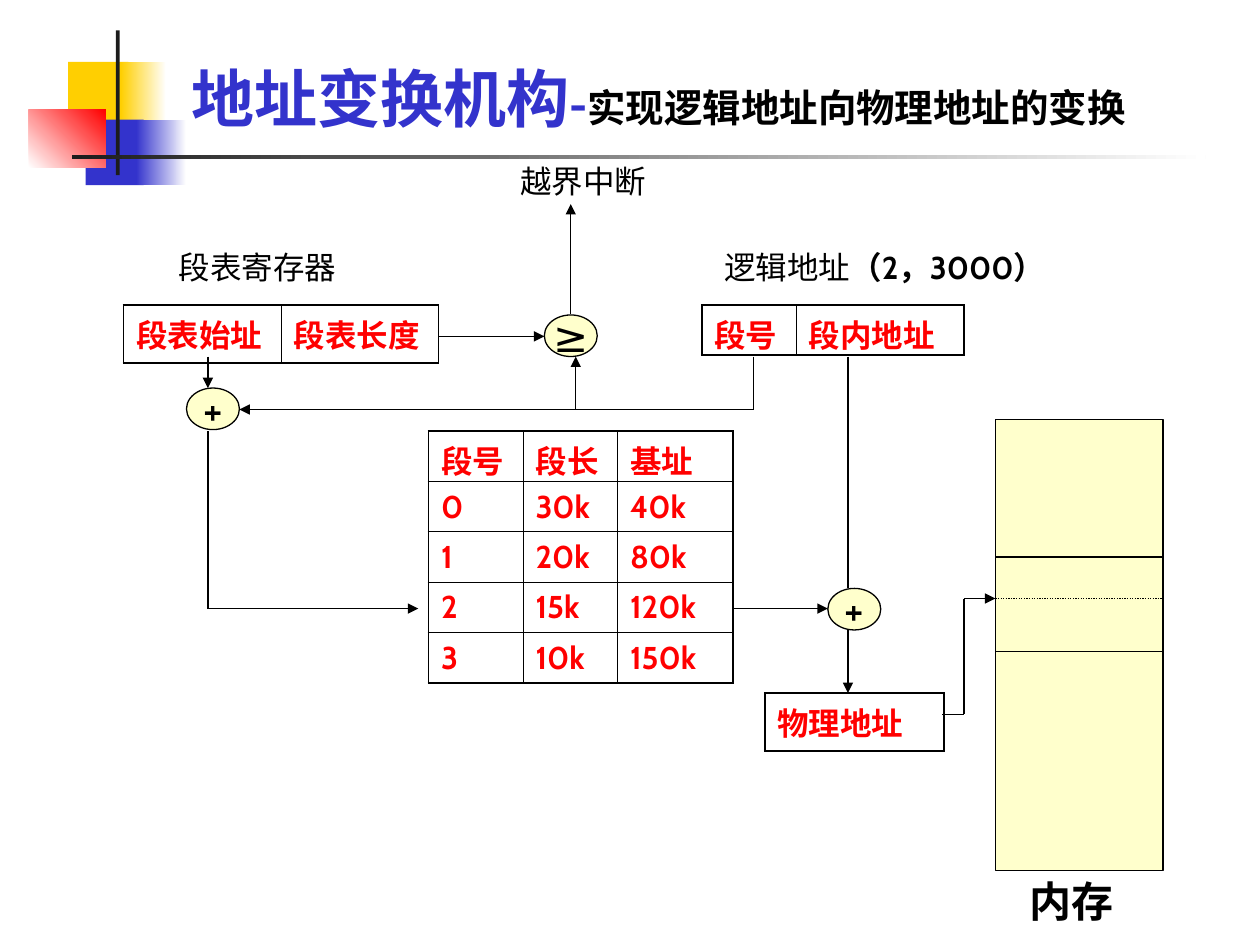
from pptx import Presentation
from pptx.dml.color import RGBColor
from pptx.enum.dml import MSO_LINE
from pptx.enum.shapes import MSO_CONNECTOR, MSO_SHAPE
from pptx.enum.text import MSO_ANCHOR, PP_ALIGN
from pptx.oxml.ns import qn
from pptx.util import Inches, Pt
from lxml.etree import SubElement

BLACK = RGBColor(0, 0, 0)
WHITE = RGBColor(0xFF, 0xFF, 0xFF)
DARK = RGBColor(0x1C, 0x1C, 0x1C)
RED = RGBColor(0xFF, 0, 0)
BLUE = RGBColor(0x33, 0x33, 0xCC)
GOLD = RGBColor(0xFF, 0xCF, 0x01)
CREAM = RGBColor(0xFF, 0xFF, 0xCC)
BODY, HEAD = "Cabin", "Noto Sans CJK SC"


def add_run(para, text, size=18, color=BLACK, bold=False, face=BODY):
    run = para.add_run()
    run.text = text
    font = run.font
    font.size, font.bold, font.name = Pt(size), bold, face
    font.color.rgb = color


def add_label(slide, x, y, w, h, *runs):
    """Place a text box; each run is a dict of add_run arguments."""
    frame = slide.shapes.add_textbox(*map(Inches, (x, y, w, h))).text_frame
    frame.word_wrap = True
    for run in runs:
        add_run(frame.paragraphs[0], **run)
    return frame


def add_box(slide, x, y, w, h, color, kind=MSO_SHAPE.RECTANGLE, line=None):
    shape = slide.shapes.add_shape(kind, *map(Inches, (x, y, w, h)))
    shape.shadow.inherit = False
    shape.fill.solid()
    shape.fill.fore_color.rgb = color
    if line is None:
        shape.line.fill.background()
    else:
        shape.line.color.rgb, shape.line.width = line, Pt(0.75)
    return shape


def fade(shape, start, end, angle=0):
    shape.fill.gradient()
    shape.fill.gradient_angle = angle
    for stop, color in zip(shape.fill.gradient_stops, (start, end)):
        stop.color.rgb = color


def add_path(slide, *points, arrow=True, dash=None):
    """Join the points by straight lines, with an arrowhead on the last."""
    for start, end in zip(points, points[1:]):
        line = slide.shapes.add_connector(
            MSO_CONNECTOR.STRAIGHT, *map(Inches, start + end))
        line.line.color.rgb, line.line.width = BLACK, Pt(0.75)
        if dash:
            line.line.dash_style = dash
        props = line._element.spPr
        if arrow and end == points[-1]:
            SubElement(props.find(qn("a:ln")), qn("a:tailEnd"), type="triangle")
        SubElement(props, qn("a:effectLst"))


def set_edge(cell, side, width):
    props = cell._tc.get_or_add_tcPr()
    edge = SubElement(props, qn("a:" + side), w=str(Pt(width)))
    fill = SubElement(edge, qn("a:solidFill"))
    SubElement(fill, qn("a:srgbClr"), val=str(BLACK))


def add_grid(slide, x, y, widths, rows, height=0.4):
    """Table with thick outer and thin inner rules."""
    last_row, last_col = len(rows) - 1, len(widths) - 1
    table = slide.shapes.add_table(
        len(rows), len(widths), Inches(x), Inches(y),
        Inches(sum(widths)), Inches(height * len(rows))).table
    table.first_row = table.horz_banding = False
    for col, width in zip(table.columns, widths):
        col.width = Inches(width)
    for r, row in enumerate(rows):
        for c, text in enumerate(row):
            cell = table.cell(r, c)
            cell.margin_bottom = 0
            add_run(cell.text_frame.paragraphs[0], text, 18, RED, True)
            outer = {"lnL": c == 0, "lnR": c == last_col,
                     "lnT": r == 0, "lnB": r == last_row}
            for side, thick in outer.items():
                set_edge(cell, side, 1.08 if thick else 0.45)
            cell.fill.background()


def add_node(slide, x, y, sign):
    node = add_box(slide, x, y, 0.42, 0.33, CREAM, MSO_SHAPE.OVAL, BLACK)
    frame = node.text_frame
    frame.word_wrap = False
    frame.vertical_anchor = MSO_ANCHOR.MIDDLE
    frame.paragraphs[0].alignment = PP_ALIGN.CENTER
    add_run(frame.paragraphs[0], sign, 24)


def add_decor(slide, x, y):
    add_box(slide, x + 0.31, y + 0.25, 0.48, 0.52, GOLD)
    fade(add_box(slide, x + 0.73, y + 0.25, 0.36, 0.52, GOLD), GOLD, WHITE)
    add_box(slide, x + 0.45, y + 0.71, 0.46, 0.52, BLUE)
    fade(add_box(slide, x + 0.85, y + 0.71, 0.4, 0.52, BLUE), BLUE, WHITE)
    fade(add_box(slide, x, y + 0.63, 0.61, 0.46, RED), WHITE, RED, 45)
    add_box(slide, x + 0.69, y, 0.03, 1.15, DARK)
    fade(add_box(slide, x + 0.34, y + 0.99, 9, 0.03, DARK), DARK, WHITE)


def add_title(slide, x, y, w, h):
    frame = add_label(
        slide, x, y, w, h,
        dict(text="地址变换机构", size=36, color=BLUE, bold=True, face=HEAD),
        dict(text="-", size=28, color=BLUE, bold=True, face=HEAD),
        dict(text="实现逻辑地址向物理地址的变换", size=22, bold=True, face=HEAD))
    frame.vertical_anchor = MSO_ANCHOR.BOTTOM


def add_memory(slide, x, y, w, h):
    add_box(slide, x, y, w, h, CREAM, line=BLACK)
    for drop, dash in ((1.09, None), (1.42, MSO_LINE.ROUND_DOT), (1.84, None)):
        add_path(slide, (x, y + drop), (x + w, y + drop), arrow=False, dash=dash)
    add_label(slide, x + 0.17, y + h - 0.01, 0.92, 0.5,
              dict(text="内存", size=24, bold=True))


def add_tables(slide):
    add_label(slide, 1.32, 1.92, 1.58, 0.4, dict(text="段表寄存器"))
    add_grid(slide, 0.98, 2.42, [1.25, 1.25], [["段表始址", "段表长度"]], 0.46)
    add_label(slide, 5.65, 1.92, 3.05, 0.4, dict(text="逻辑地址"),
              dict(text="（2，3000）", bold=True))
    add_grid(slide, 5.57, 2.42, [0.75, 1.33], [["段号", "段内地址"]])
    add_grid(slide, 3.4, 3.42, [0.75, 0.75, 0.92], [
        ["段号", "段长", "基址"],
        ["0", "30k", "40k"],
        ["1", "20k", "80k"],
        ["2", "15k", "120k"],
        ["3", "10k", "150k"]])
    add_grid(slide, 6.07, 5.5, [1.42], [["物理地址"]], 0.46)
    add_label(slide, 4.03, 1.24, 1.25, 0.4, dict(text="越界中断"))


def add_flow(slide):
    add_node(slide, 4.32, 2.5, "≥")
    add_node(slide, 1.48, 3.08, "+")
    add_node(slide, 6.57, 4.67, "+")
    add_path(slide, (3.48, 2.67), (4.32, 2.67))
    add_path(slide, (4.53, 2.49), (4.53, 1.62))
    add_path(slide, (5.98, 2.83), (5.98, 3.25), (1.9, 3.25))
    add_path(slide, (4.57, 3.25), (4.57, 2.83))
    add_path(slide, (1.65, 2.83), (1.65, 3.08))
    add_path(slide, (1.65, 3.42), (1.65, 4.83), (3.32, 4.83))
    add_path(slide, (6.73, 2.83), (6.73, 4.67), arrow=False)
    add_path(slide, (5.82, 4.83), (6.57, 4.83))
    add_path(slide, (6.73, 5), (6.73, 5.5))
    add_path(slide, (7.48, 5.67), (7.65, 5.67), (7.65, 4.75), (7.9, 4.75))


def main():
    deck = Presentation()
    deck.slide_width, deck.slide_height = Inches(10), Inches(7.5)
    slide = deck.slides.add_slide(deck.slide_layouts[6])
    add_decor(slide, 0.23, 0.24)
    add_title(slide, 1.42, 0.28, 8.58, 0.84)
    add_tables(slide)
    add_memory(slide, 7.9, 3.33, 1.33, 3.58)
    add_flow(slide)
    deck.save("out.pptx")


if __name__ == "__main__":
    main()
